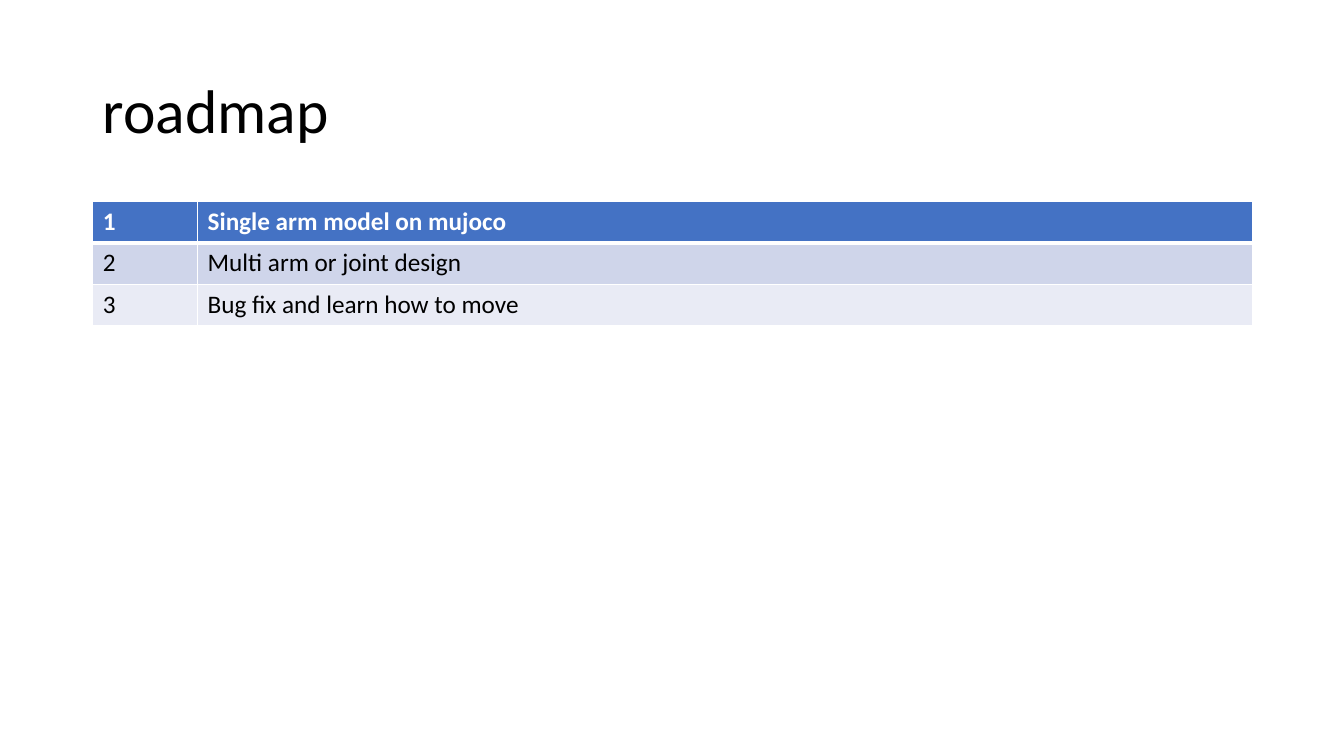
from lxml import etree
from pptx import Presentation
from pptx.dml.color import RGBColor
from pptx.enum.text import MSO_ANCHOR, PP_ALIGN
from pptx.oxml.ns import qn
from pptx.util import Inches, Pt

LEFT = PP_ALIGN.LEFT
MIDDLE = MSO_ANCHOR.MIDDLE
TOP = MSO_ANCHOR.TOP
TITLE_ONLY = 5

MILESTONES = [
    ("1", "Single arm model on mujoco"),
    ("2", "Multi arm or joint design"),
    ("3", "Bug fix and learn how to move"),
]


def color(value):
    return RGBColor.from_string(value)


def write(frame, text, size=18, fill="000000", bold=False, font="Calibri", spacing=1.0):
    paragraph = frame.paragraphs[0]
    paragraph.alignment = LEFT
    paragraph.line_spacing = spacing
    run = paragraph.add_run()
    run.text = text
    run.font.name = font
    run.font.size = Pt(size)
    run.font.bold = bold
    run.font.color.rgb = color(fill)


class RoadmapSlide:
    header = "4472C4"
    bands = ("CFD5EA", "E9EBF5")
    white = "FFFFFF"
    black = "000000"

    def __init__(self, deck):
        self.slide = deck.slides.add_slide(deck.slide_layouts[TITLE_ONLY])
        background = self.slide.background.fill
        background.solid()
        background.fore_color.rgb = color(self.white)

    def title(self, text, left, top, width, height):
        heading = self.slide.shapes.title
        heading.left, heading.top = Inches(left), Inches(top)
        heading.width, heading.height = Inches(width), Inches(height)
        frame = heading.text_frame
        frame.word_wrap = True
        frame.vertical_anchor = MIDDLE
        write(frame, text, size=44, fill=self.black, spacing=0.9)

    def border(self, cell, side, width):
        properties = cell._tc.get_or_add_tcPr()
        line = etree.SubElement(properties, qn(f"a:ln{side}"), w=str(Pt(width)))
        solid = etree.SubElement(line, qn("a:solidFill"))
        etree.SubElement(solid, qn("a:srgbClr"), val=self.white)

    def table(self, rows, left, top, column_widths, row_height):
        grid = self.slide.shapes.add_table(
            len(rows), len(column_widths), Inches(left), Inches(top),
            Inches(sum(column_widths)), Inches(row_height * len(rows))).table
        for column, width in zip(grid.columns, column_widths):
            column.width = Inches(width)
        for r, texts in enumerate(rows):
            grid.rows[r].height = Inches(row_height)
            is_header = r == 0
            for c, text in enumerate(texts):
                cell = grid.cell(r, c)
                cell.vertical_anchor = TOP
                write(cell.text_frame, text, bold=is_header,
                      fill=self.white if is_header else self.black)
                widths = {"L": 1, "R": 1, "T": 3 if r == 1 else 1, "B": 3 if is_header else 1}
                for side, width in widths.items():
                    self.border(cell, side, width)
                cell.fill.solid()
                cell.fill.fore_color.rgb = color(
                    self.header if is_header else self.bands[(r - 1) % 2])


def main():
    deck = Presentation()
    deck.slide_width, deck.slide_height = Inches(13.33), Inches(7.5)
    roadmap = RoadmapSlide(deck)
    roadmap.title("roadmap", 0.92, 0.4, 11.5, 1.45)
    roadmap.table(MILESTONES, 0.92, 2, (1.04, 10.46), 0.41)
    deck.save("out.pptx")


if __name__ == "__main__":
    main()
